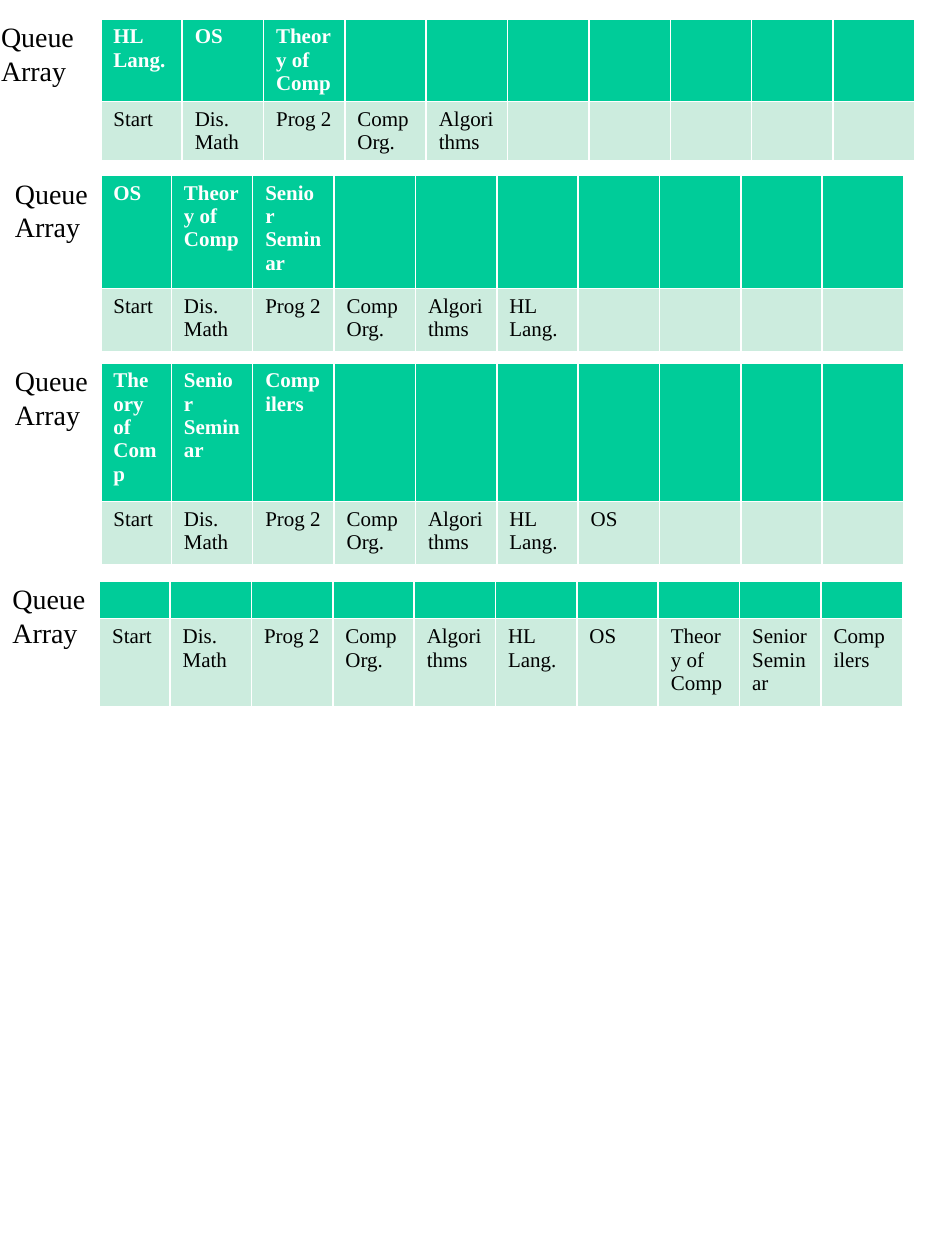
import pptx
import pptx.dml.color
import pptx.enum.text
import pptx.util
from lxml import etree

Inches = pptx.util.Inches
WHITE = pptx.dml.color.RGBColor(0xFF, 0xFF, 0xFF)
BLACK = pptx.dml.color.RGBColor(0x00, 0x00, 0x00)
GREEN = pptx.dml.color.RGBColor(0x00, 0xCC, 0x99)
PALE_GREEN = pptx.dml.color.RGBColor(0xCC, 0xEC, 0xDE)
FONT = "Times New Roman"

COLUMNS = 10
COLUMN_WIDTH = 6.46 / COLUMNS
ROW_HEIGHT = 0.28
LABEL_RISE = 0.04

COURSES = ["Start", "Dis. Math", "Prog 2", "Comp Org.", "Algorithms", "HL Lang.",
           "OS", "Theory of  Comp", "Senior Seminar", "Compilers"]

# table left, top, height, first column width, label left, queue, courses taken
STEPS = [
    (0.80, 0.15, 1.2, COLUMN_WIDTH, -0.09, COURSES[5:8], 5),
    (0.80, 1.39, 1.4, 0.56, 0.02, COURSES[6:9], 6),
    (0.80, 2.88, 1.6, 0.56, 0.02, COURSES[7:10], 7),
    (0.79, 4.61, 1.0, 0.56, 0.00, [], 10),
]


def write(para, text, size=12, color=BLACK, bold=False):
    """Fill a paragraph; without text, only the size of the empty line is set."""
    if not text:
        end = etree.SubElement(para._p, pptx.oxml.ns.qn("a:endParaRPr"))
        end.set("sz", str(size * 100))
        return
    span = para.add_run()
    span.text = text
    span.font.name = FONT
    span.font.size = pptx.util.Pt(size)
    span.font.bold = bold
    span.font.color.rgb = color


deck = pptx.Presentation()
deck.slide_width = Inches(7.5)
deck.slide_height = Inches(10)
page = deck.slides.add_slide(deck.slide_layouts[6])

for left, top, height, first_width, label_left, queue, taken in STEPS:
    width = first_width + (COLUMNS - 1) * COLUMN_WIDTH
    frame = page.shapes.add_table(2, COLUMNS, Inches(left), Inches(top),
                                  Inches(width), Inches(height))
    table = frame.table
    for index, column in enumerate(table.columns):
        column.width = Inches(COLUMN_WIDTH if index else first_width)
    for row in table.rows:
        row.height = Inches(ROW_HEIGHT)
    frame.height = Inches(height)  # rows stretch to fill the frame

    rows = [(queue, GREEN, WHITE, True), (COURSES[:taken], PALE_GREEN, BLACK, False)]
    for row, (names, fill, color, bold) in zip(table.rows, rows):
        for index, cell in enumerate(row.cells):
            cell.fill.solid()
            cell.fill.fore_color.rgb = fill
            text = names[index] if index < len(names) else ""
            write(cell.text_frame.paragraphs[0], text, color=color, bold=bold)

    label = page.shapes.add_textbox(Inches(label_left), Inches(top - LABEL_RISE),
                                    Inches(0.79), Inches(0.64))
    label.text_frame.word_wrap = False
    label.text_frame.auto_size = pptx.enum.text.MSO_AUTO_SIZE.SHAPE_TO_FIT_TEXT
    write(label.text_frame.paragraphs[0], "Queue", size=16)
    write(label.text_frame.add_paragraph(), "Array", size=16)

deck.save("out.pptx")
